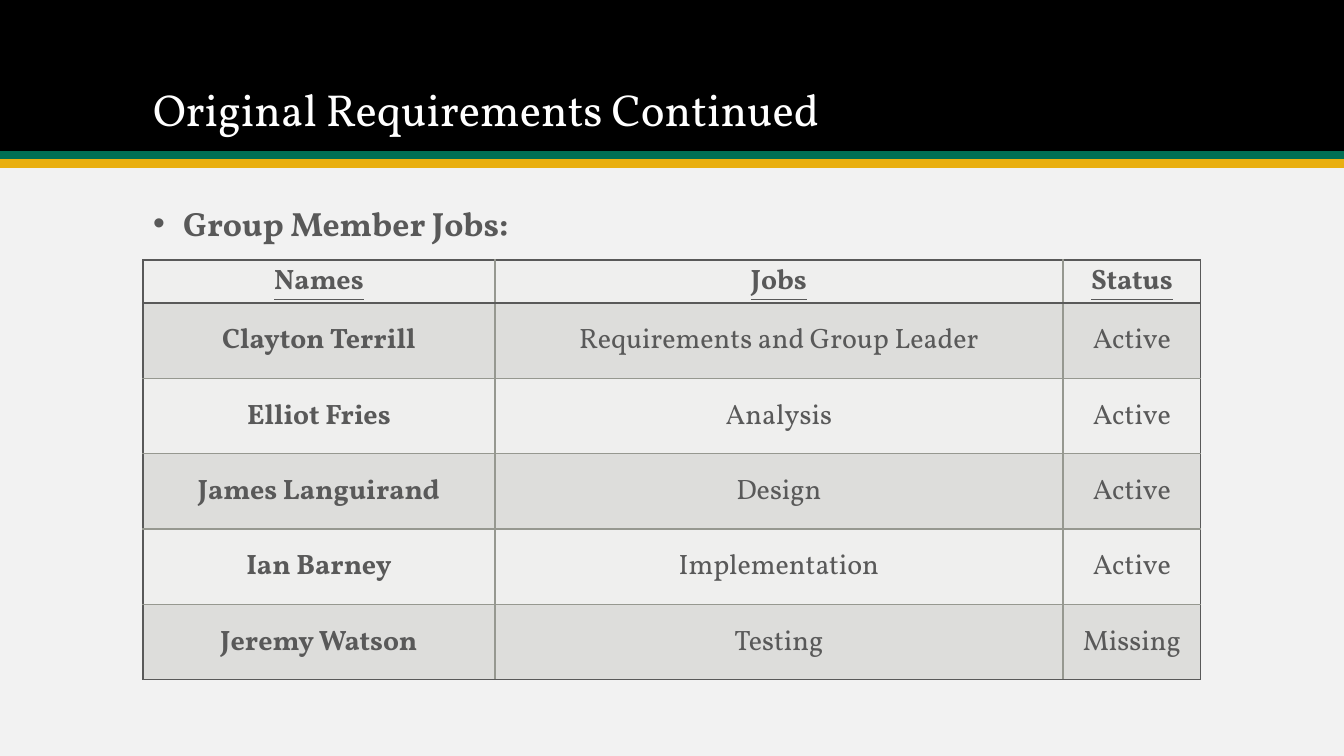
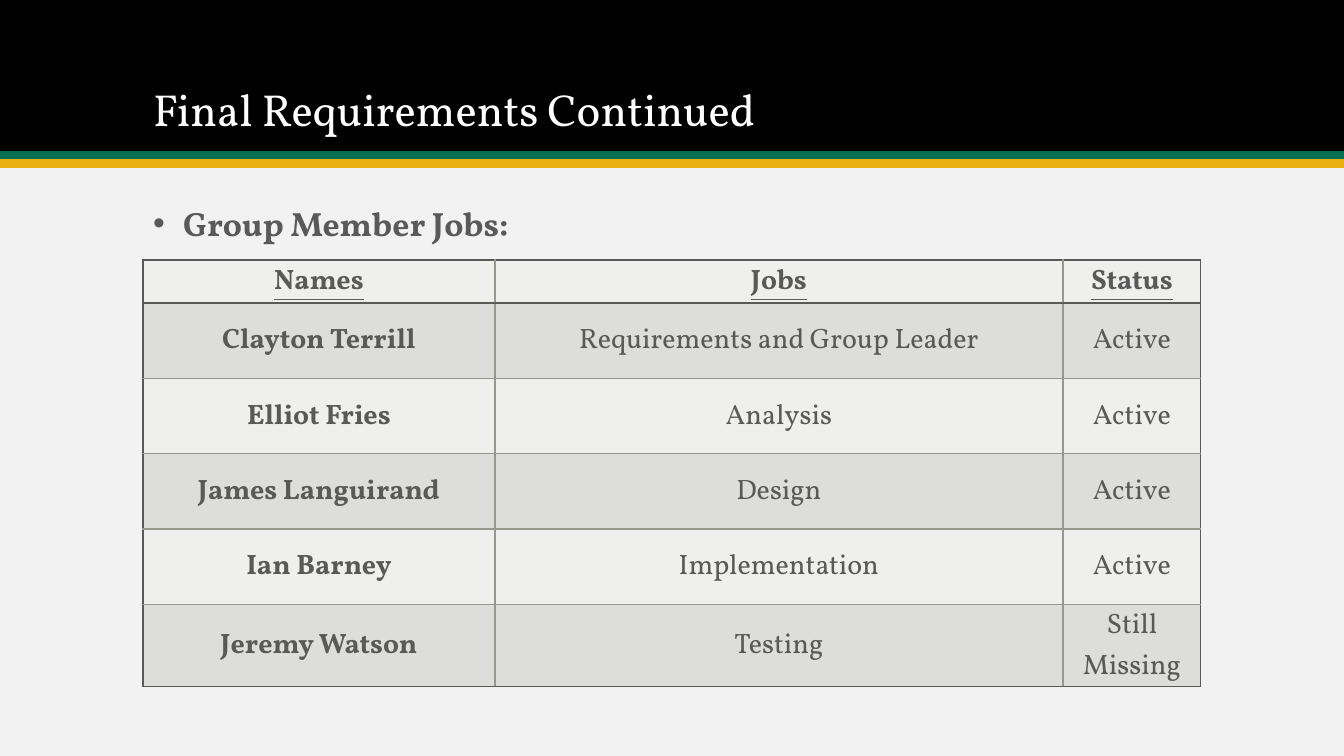
from lxml import etree
from pptx import Presentation
from pptx.dml.color import RGBColor
from pptx.enum.shapes import MSO_SHAPE
from pptx.enum.text import MSO_ANCHOR, MSO_AUTO_SIZE, PP_ALIGN
from pptx.oxml.ns import qn
from pptx.util import Pt

RECT = MSO_SHAPE.RECTANGLE
TOP, MIDDLE, BOTTOM = MSO_ANCHOR.TOP, MSO_ANCHOR.MIDDLE, MSO_ANCHOR.BOTTOM
LEFT, CENTER = PP_ALIGN.LEFT, PP_ALIGN.CENTER
NO_AUTOFIT = MSO_AUTO_SIZE.NONE

# Shared style
FONT = "Vollkorn"
BLACK = RGBColor(0x00, 0x00, 0x00)
WHITE = RGBColor(0xFF, 0xFF, 0xFF)
GREEN = RGBColor(0x00, 0x6F, 0x53)
GOLD = RGBColor(0xE9, 0xAF, 0x10)
PAPER = RGBColor(0xF2, 0xF2, 0xF2)
TEXT = RGBColor(0x59, 0x59, 0x59)
RULE = RGBColor(0x96, 0x98, 0x90)
ROW_LIGHT = RGBColor(0xEF, 0xEF, 0xEE)
ROW_DARK = RGBColor(0xDD, 0xDD, 0xDB)

# Layout in pixels
WIDTH, HEIGHT = 1344, 756
MARGIN, CONTENT_WIDTH = 143, 1058
BANDS = [(0, 151, BLACK), (151, 9, GREEN), (159, 9, GOLD)]
TITLE_BOX = (MARGIN, 27, CONTENT_WIDTH, 114)
BODY_BOX = (MARGIN, 202, CONTENT_WIDTH, 479)
TABLE_BOX = (MARGIN, 260, CONTENT_WIDTH, 420)
COLUMNS = (352, 568, 138)
HEADER_HEIGHT = 43
CELL_INSET = 7
BULLET_INDENT = 30

# Content
HEADER = ("Names", "Jobs", "Status")
MEMBERS = [
    ("Clayton Terrill", "Requirements and Group Leader"),
    ("Elliot Fries", "Analysis"),
    ("James Languirand", "Design"),
    ("Ian Barney", "Implementation"),
    ("Jeremy Watson", "Testing"),
]
SLIDES = [
    ("Original Requirements Continued", "Missing"),
    ("Final Requirements Continued", "Still Missing"),
]


def px(n):
    return round(n * 914400 / 100.8)


def format_paragraph(p, size, color, align, spacing, bold=False, underline=False):
    p.alignment = align
    p.line_spacing = spacing
    for r in p.runs:
        font = r.font
        font.name, font.size = FONT, Pt(size)
        font.bold, font.underline = bold, underline
        font.color.rgb = color


def fill_placeholder(sp, box, text, anchor):
    sp.left, sp.top, sp.width, sp.height = map(px, box)
    tf = sp.text_frame
    tf.text = text
    tf.word_wrap = True
    tf.auto_size = NO_AUTOFIT
    tf.vertical_anchor = anchor
    return tf.paragraphs[0]


def style_master(prs, slide):
    """Set the background and move the title bands behind the master's placeholders."""
    master = prs.slide_master
    master.background.fill.solid()
    master.background.fill.fore_color.rgb = PAPER
    tree = master.shapes._spTree
    for i, (top, height, color) in enumerate(BANDS):
        sp = slide.shapes.add_shape(RECT, 0, px(top), px(WIDTH), px(height))
        sp.shadow.inherit = False
        sp.fill.solid()
        sp.fill.fore_color.rgb = color
        sp.line.fill.background()
        tree.insert(2 + i, sp._element)


def add_title(slide, text):
    p = fill_placeholder(slide.shapes.title, TITLE_BOX, text, BOTTOM)
    format_paragraph(p, 32, WHITE, LEFT, 0.9)


def add_bullet(slide, text):
    p = fill_placeholder(slide.placeholders[1], BODY_BOX, text, TOP)
    format_paragraph(p, 24, TEXT, LEFT, 0.9, bold=True)
    p.space_before = Pt(18)
    pPr = p._p.get_or_add_pPr()
    pPr.set("marL", str(px(BULLET_INDENT)))
    pPr.set("indent", str(-px(BULLET_INDENT)))


def set_border(cell, side, color):
    ln = etree.SubElement(cell._tc.get_or_add_tcPr(), qn(f"a:ln{side}"), w=str(Pt(1)))
    fill = etree.SubElement(ln, qn("a:solidFill"))
    etree.SubElement(fill, qn("a:srgbClr"), val=str(color))


def add_table(slide, rows):
    last_row, last_col = len(rows) - 1, len(COLUMNS) - 1
    table = slide.shapes.add_table(len(rows), len(COLUMNS), *map(px, TABLE_BOX)).table
    table.first_row = table.horz_banding = False
    for column, width in zip(table.columns, COLUMNS):
        column.width = px(width)
    body_height = px(TABLE_BOX[3] - HEADER_HEIGHT) // last_row
    for i, values in enumerate(rows):
        table.rows[i].height = body_height if i else px(HEADER_HEIGHT)
        for j, value in enumerate(values):
            cell = table.cell(i, j)
            cell.text = value
            cell.vertical_anchor = MIDDLE
            cell.margin_left = cell.margin_right = px(CELL_INSET)
            cell.margin_top = cell.margin_bottom = 0
            format_paragraph(cell.text_frame.paragraphs[0], 20, TEXT, CENTER, 1.05,
                             bold=i == 0 or j == 0, underline=i == 0)
            # The frame and the header rule are darker than the inner rules
            dark_sides = {"L": j == 0, "R": j == last_col,
                          "T": i <= 1, "B": i in (0, last_row)}
            for side, dark in dark_sides.items():
                set_border(cell, side, TEXT if dark else RULE)
            cell.fill.solid()
            cell.fill.fore_color.rgb = ROW_DARK if i % 2 else ROW_LIGHT


def main():
    prs = Presentation()
    prs.slide_width, prs.slide_height = px(WIDTH), px(HEIGHT)
    layout = prs.slide_layouts[1]
    for title, last_status in SLIDES:
        slide = prs.slides.add_slide(layout)
        add_title(slide, title)
        add_bullet(slide, "Group Member Jobs:")
        statuses = ["Active"] * (len(MEMBERS) - 1) + [last_status]
        add_table(slide, [HEADER] + [(*m, s) for m, s in zip(MEMBERS, statuses)])
    style_master(prs, prs.slides[0])
    prs.save("out.pptx")


main()
